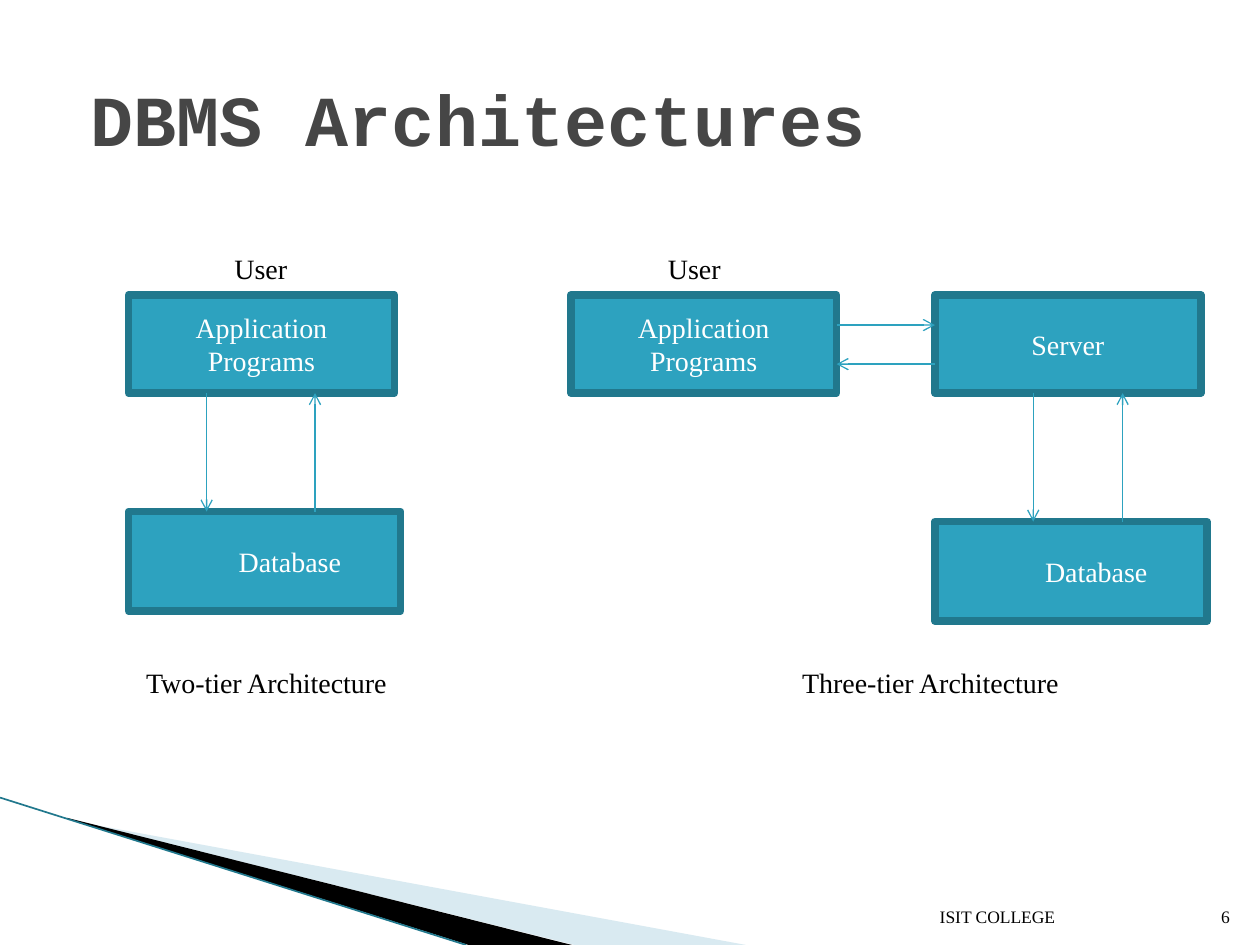
from lxml import etree
from pptx import Presentation
from pptx.dml.color import RGBColor
from pptx.enum import shapes, text
from pptx.oxml import ns
from pptx.util import Pt

COLORS = {
    "box": "2DA2BF", "border": "21788D", "title": "464646", "light": "FFFFFF",
    "dark": "000000", "pale": "A0CBDC", "edge": "21788D",
}
COLORS = {name: RGBColor.from_string(value) for name, value in COLORS.items()}

presentation = Presentation()
presentation.slide_width, presentation.slide_height = Pt(720), Pt(540)
column = presentation.slide_width / 100
row = presentation.slide_height / 75
slide = presentation.slides.add_slide(presentation.slide_layouts[5])


def place(left, top, width, height):
    return [round(left * column), round(top * row), round(width * column), round(height * row)]


def write(shape, words, size, color, align, anchor, font="Times New Roman"):
    frame = shape.text_frame
    frame.word_wrap = True
    frame.auto_size = text.MSO_AUTO_SIZE.NONE
    frame.vertical_anchor = anchor
    frame.text = words
    paragraph = frame.paragraphs[0]
    paragraph.alignment = align
    paragraph.font.name = font
    paragraph.font.size = Pt(size)
    paragraph.font.color.rgb = COLORS[color]
    return paragraph


wedges = [
    ("pale", 60, [(5.5, 65.1), (59.2, 75), (45.6, 75), (5.5, 65)]),
    ("dark", 0, [(5.3, 64.9), (45.4, 75), (37.2, 75), (5.4, 65)]),
]
for color, transparency, points in wedges:
    corners = [(round(x * column), round(y * row)) for x, y in points]
    builder = slide.shapes.build_freeform(*corners[0])
    builder.add_line_segments(corners[1:])
    wedge = builder.convert_to_shape()
    wedge.shadow.inherit = False
    wedge.fill.solid()
    wedge.fill.fore_color.rgb = COLORS[color]
    wedge.line.fill.background()
    if transparency:
        tint = wedge.fill._xPr.find(".//" + ns.qn("a:srgbClr"))
        alpha = etree.SubElement(tint, ns.qn("a:alpha"))
        alpha.set("val", str((100 - transparency) * 1000))

title = slide.shapes.title
title.left, title.top, title.width, title.height = place(6.2, 3.1, 90, 12.5)
heading = write(title, "DBMS Architectures", 41, "title", text.PP_ALIGN.LEFT,
                text.MSO_ANCHOR.MIDDLE, "Courier New")
heading.font.bold = True

two_tier, client, server = 10.2, 45.3, 74.2
box_top, box_height, database_height = 23.4, 7.8, 7.9
box_width, database_width = 21.1, 21.6
box_bottom = box_top + box_height
databases = {two_tier: 40.6, server: 41.4}

boxes = [
    ("Application Programs", two_tier, box_top, box_width, box_height),
    ("Application Programs", client, box_top, box_width, box_height),
    ("Server", server, box_top, box_width, box_height),
] + [("Database", left, top, database_width, database_height) for left, top in databases.items()]
for words, *area in boxes:
    box = slide.shapes.add_shape(shapes.MSO_SHAPE.RECTANGLE, *place(*area))
    box.shadow.inherit = False
    box.fill.solid()
    box.fill.fore_color.rgb = COLORS["box"]
    box.line.color.rgb = COLORS["border"]
    box.line.width = Pt(4.33)
    write(box, words, 16, "light", text.PP_ALIGN.CENTER, text.MSO_ANCHOR.MIDDLE)
    if words == "Database":
        box.text_frame.margin_left = round(5 * column)

client_right = client + box_width
lines = [
    (16.4, box_bottom, 16.4, databases[two_tier], "box", 0.75, True),
    (25, databases[two_tier], 25, box_bottom, "box", 0.75, True),
    (82, box_bottom, 82, databases[server], "box", 0.75, True),
    (89.1, databases[server], 89.1, box_bottom, "box", 0.75, True),
    (client_right, 25.8, server, 25.8, "box", 0.75, True),
    (server, 28.9, client_right, 28.9, "box", 0.75, True),
    (0, 63.3, 37, 75, "edge", 0.95, False),
]
for *ends, color, width, arrow in lines:
    line = slide.shapes.add_connector(shapes.MSO_CONNECTOR.STRAIGHT, *place(*ends))
    line.line.color.rgb = COLORS[color]
    line.line.width = Pt(width)
    if arrow:
        etree.SubElement(line.line._get_or_add_ln(), ns.qn("a:tailEnd")).set("type", "arrow")
    etree.SubElement(line._element.spPr, ns.qn("a:effectLst"))

center, top_anchor = text.PP_ALIGN.CENTER, text.MSO_ANCHOR.TOP
labels = [
    ("User", 15.6, 19.5, 10.2, 3.7, 16, center, top_anchor),
    ("User", 50, 19.5, 10.2, 3.7, 16, center, top_anchor),
    ("Two-tier Architecture", 10.2, 52.3, 21.9, 3.7, 16, center, top_anchor),
    ("Three-tier Architecture", 58.6, 52.3, 30.5, 3.7, 16, center, top_anchor),
    ("ISIT COLLEGE", 73.6, 70.1, 21, 4, 10, text.PP_ALIGN.LEFT, text.MSO_ANCHOR.BOTTOM),
    ("6", 94.6, 70.1, 4, 4, 10, text.PP_ALIGN.RIGHT, text.MSO_ANCHOR.BOTTOM),
]
for words, left, top, width, height, size, align, anchor in labels:
    label = slide.shapes.add_textbox(*place(left, top, width, height))
    write(label, words, size, "dark", align, anchor)

presentation.save("out.pptx")
